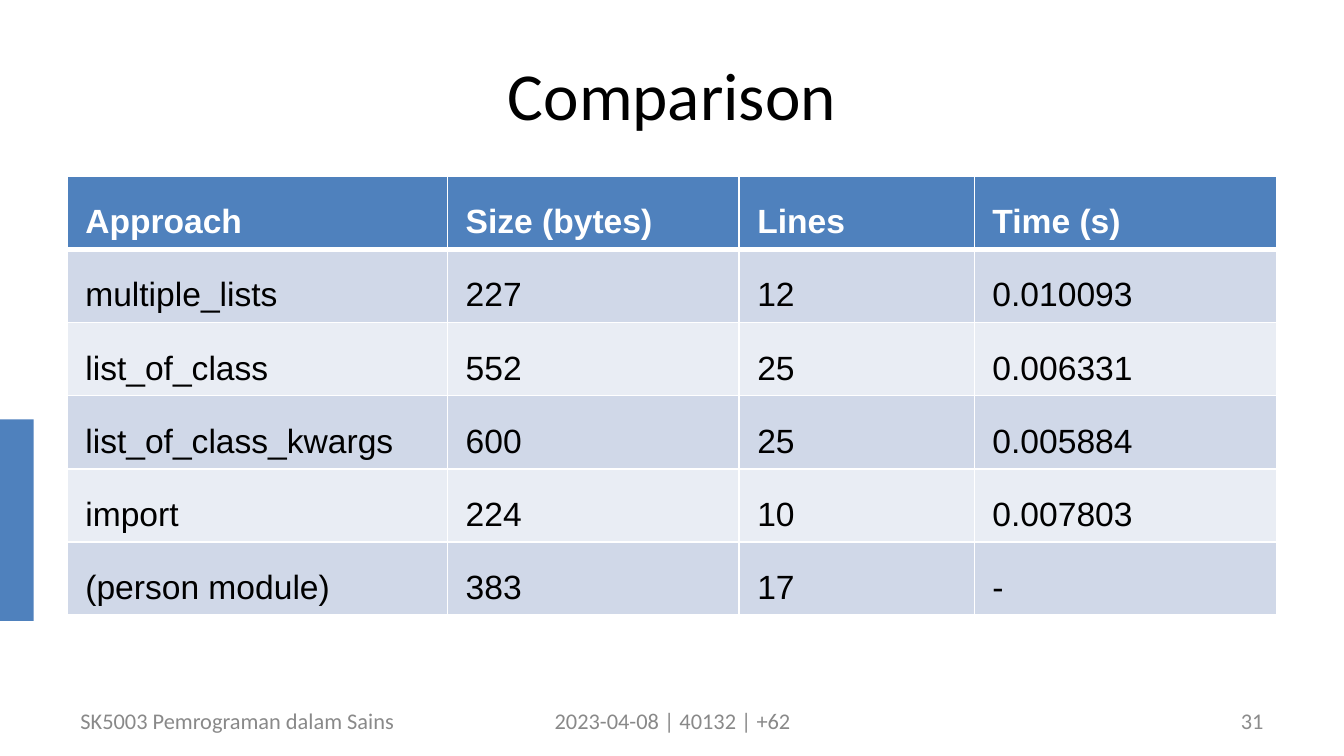
from pptx import Presentation
from pptx.dml.color import RGBColor
from pptx.enum.shapes import MSO_SHAPE
from pptx.enum.text import MSO_ANCHOR as Anchor, PP_ALIGN as Align
from pptx.oxml import parse_xml
from pptx.oxml.ns import nsdecls
from pptx.util import Inches, Pt

SLIDE_WIDTH = 10
SLIDE_HEIGHT = SLIDE_WIDTH * 9 / 16
COLORS = {
    "accent": "4F81BD", "band_dark": "D0D8E8", "band_light": "E9EDF4",
    "white": "FFFFFF", "black": "000000", "footer": "898989", "number": "8C8C8C",
}
ROWS = [
    ("Approach", "Size (bytes)", "Lines", "Time (s)"),
    ("multiple_lists", "227", "12", "0.010093"),
    ("list_of_class", "552", "25", "0.006331"),
    ("list_of_class_kwargs", "600", "25", "0.005884"),
    ("import", "224", "10", "0.007803"),
    ("(person module)", "383", "17", "-"),
]
COLUMN_WIDTHS = (2.83, 2.17, 1.75, 2.25)
FOOTERS = [
    (0.5, 2.58, "SK5003 Pemrograman dalam Sains", Align.LEFT, "footer"),
    (3.42, 3.17, "2023-04-08 | 40132 | +62", Align.CENTER, "footer"),
    (7.17, 2.33, "31", Align.RIGHT, "number"),
]
CELL_FORMAT = {
    "margin_left": Pt(9.75), "margin_right": Pt(9.75),
    "margin_top": Pt(4.5), "margin_bottom": Pt(4.5),
    "vertical_anchor": Anchor.MIDDLE,
}


def rgb(color):
    return RGBColor.from_string(COLORS[color])


def set_attributes(target, values):
    for name, value in values.items():
        setattr(target, name, value)


def write(frame, text, color, size, face, align=Align.LEFT, bold=False, spacing=None):
    frame.text = text
    paragraph = frame.paragraphs[0]
    set_attributes(paragraph, {"alignment": align, "line_spacing": spacing})
    font = paragraph.runs[0].font
    set_attributes(font, {"name": face, "size": Pt(size), "bold": bold})
    font.color.rgb = rgb(color)


def place(shape, box):
    set_attributes(shape, dict(zip(("left", "top", "width", "height"), map(Inches, box))))


def add_accent_bar(slide, box):
    bar = slide.shapes.add_shape(MSO_SHAPE.RECTANGLE, *map(Inches, box))
    bar.shadow.inherit = False
    bar.fill.solid()
    bar.fill.fore_color.rgb = rgb("accent")
    bar.line.fill.background()


def set_title(slide, box):
    title = slide.shapes.title
    place(title, box)
    title.text_frame.vertical_anchor = Anchor.MIDDLE
    write(title.text_frame, "Comparison", "black", 36, "Calibri", Align.CENTER)


def set_borders(cell, widths):
    """Draw white borders; widths are points for left, right, top and bottom."""
    properties = cell._tc.get_or_add_tcPr()
    for position, (side, width) in enumerate(zip("LRTB", widths)):
        properties.insert(position, parse_xml(
            f'<a:ln{side} {nsdecls("a")} w="{Pt(width)}"><a:solidFill>'
            f'<a:srgbClr val="{COLORS["white"]}"/></a:solidFill></a:ln{side}>'))


def add_comparison_table(slide, box):
    table = slide.shapes.add_table(len(ROWS), len(COLUMN_WIDTHS), *map(Inches, box)).table
    for column, width in zip(table.columns, COLUMN_WIDTHS):
        column.width = Inches(width)
    for r, values in enumerate(ROWS):
        header = r == 0
        fill = "accent" if header else "band_dark" if r % 2 else "band_light"
        borders = (1, 1, 3 if r == 1 else 1, 3 if header else 1)
        for c, value in enumerate(values):
            cell = table.cell(r, c)
            set_attributes(cell, CELL_FORMAT)
            cell.fill.solid()
            cell.fill.fore_color.rgb = rgb(fill)
            set_borders(cell, borders)
            write(cell.text_frame, value, "white" if header else "black", 18, "Arial",
                  bold=header, spacing=1.5)


def add_footer(slide, top, height):
    for left, width, text, align, color in FOOTERS:
        frame = slide.shapes.add_textbox(*map(Inches, (left, top, width, height))).text_frame
        set_attributes(frame, {"word_wrap": True, "vertical_anchor": Anchor.MIDDLE})
        write(frame, text, color, 12, "Calibri", align)


def main():
    deck = Presentation()
    set_attributes(deck, {"slide_width": Inches(SLIDE_WIDTH),
                          "slide_height": Inches(SLIDE_HEIGHT)})
    slide = deck.slides.add_slide(deck.slide_layouts[5])
    add_accent_bar(slide, (0, 3.12, 0.25, 1.5))
    set_title(slide, (0.5, 0.23, 9, 0.94))
    add_comparison_table(slide, (0.5, 1.31, 9, 3.17))
    add_footer(slide, 5.21, 0.3)
    deck.save("out.pptx")


if __name__ == "__main__":
    main()
